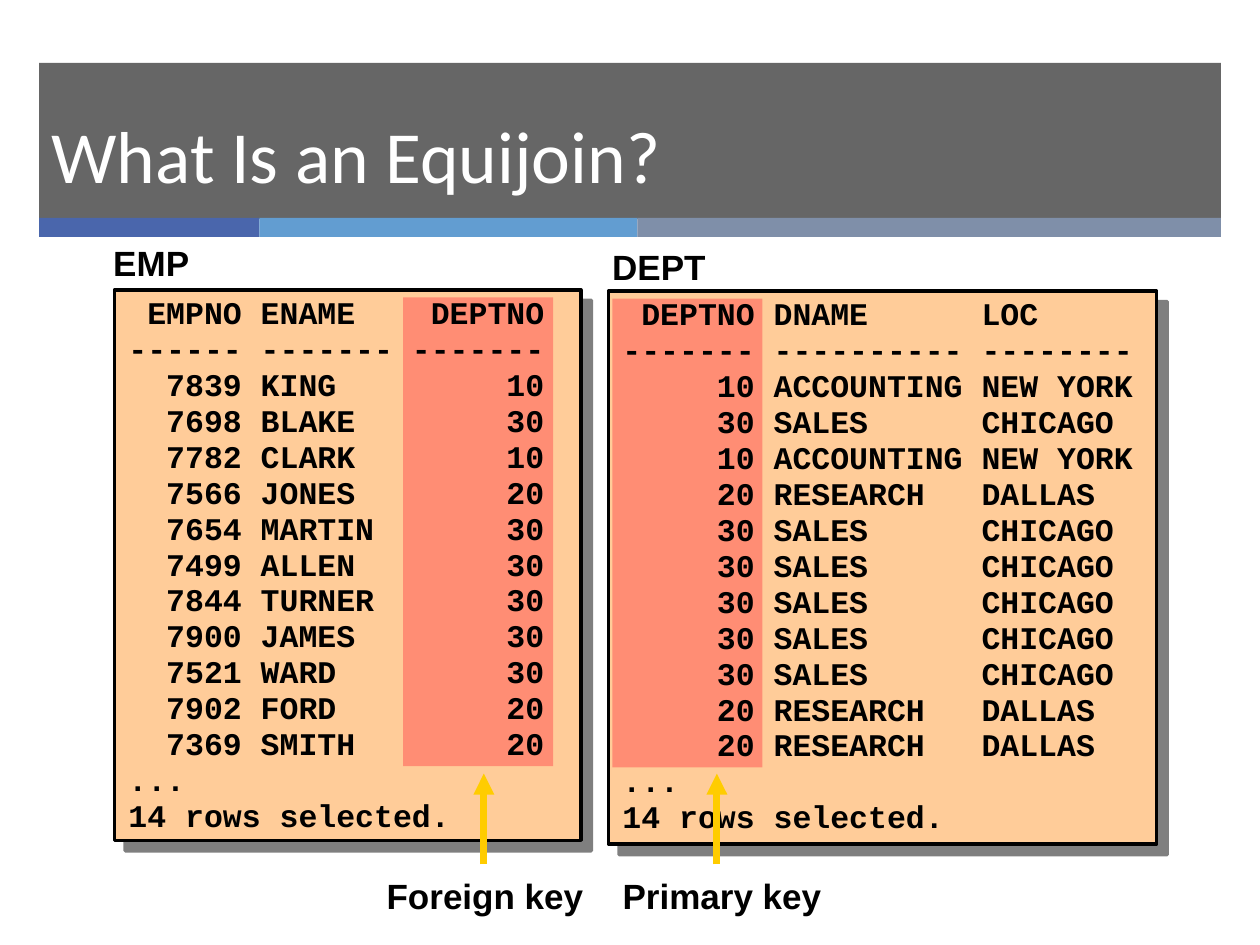
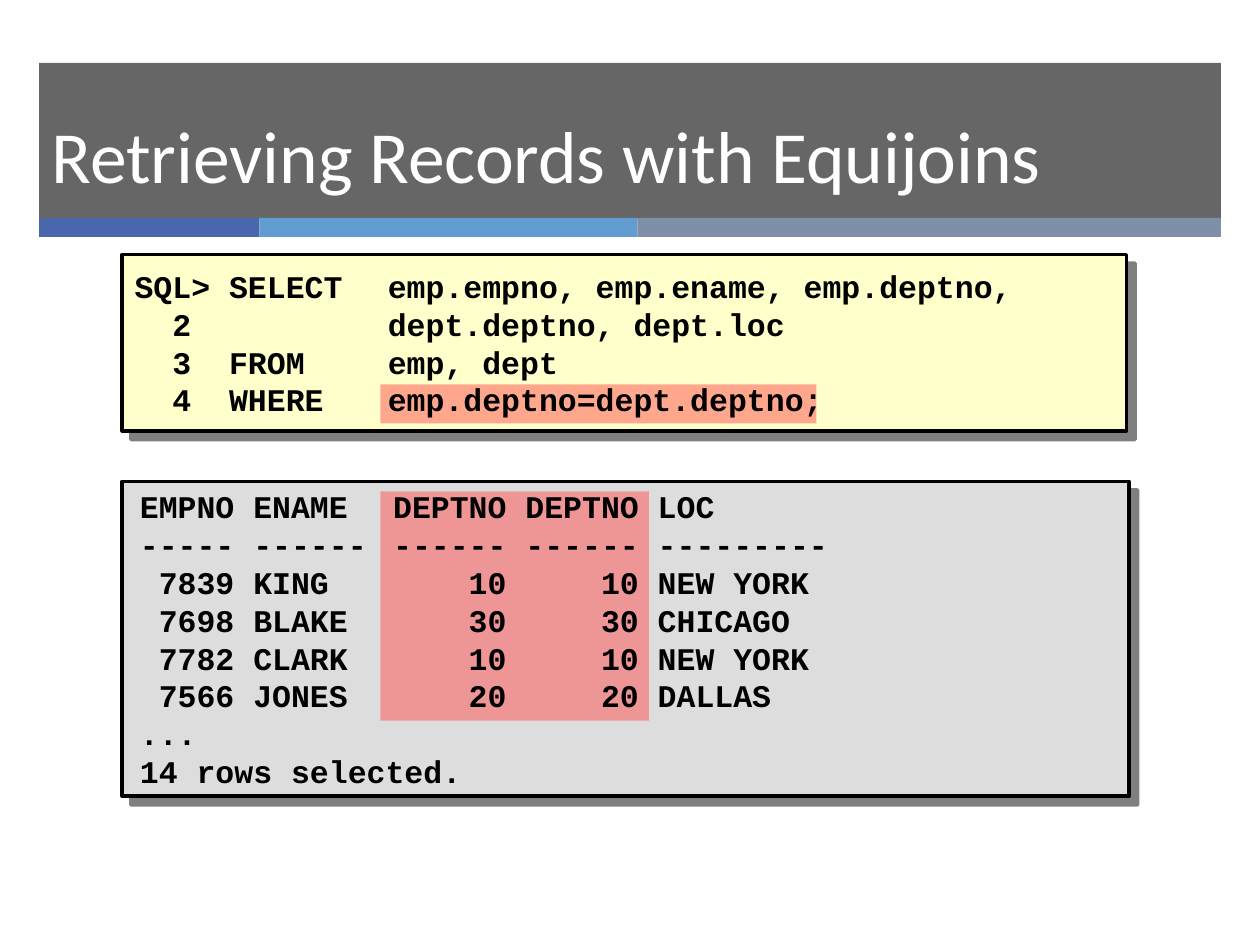
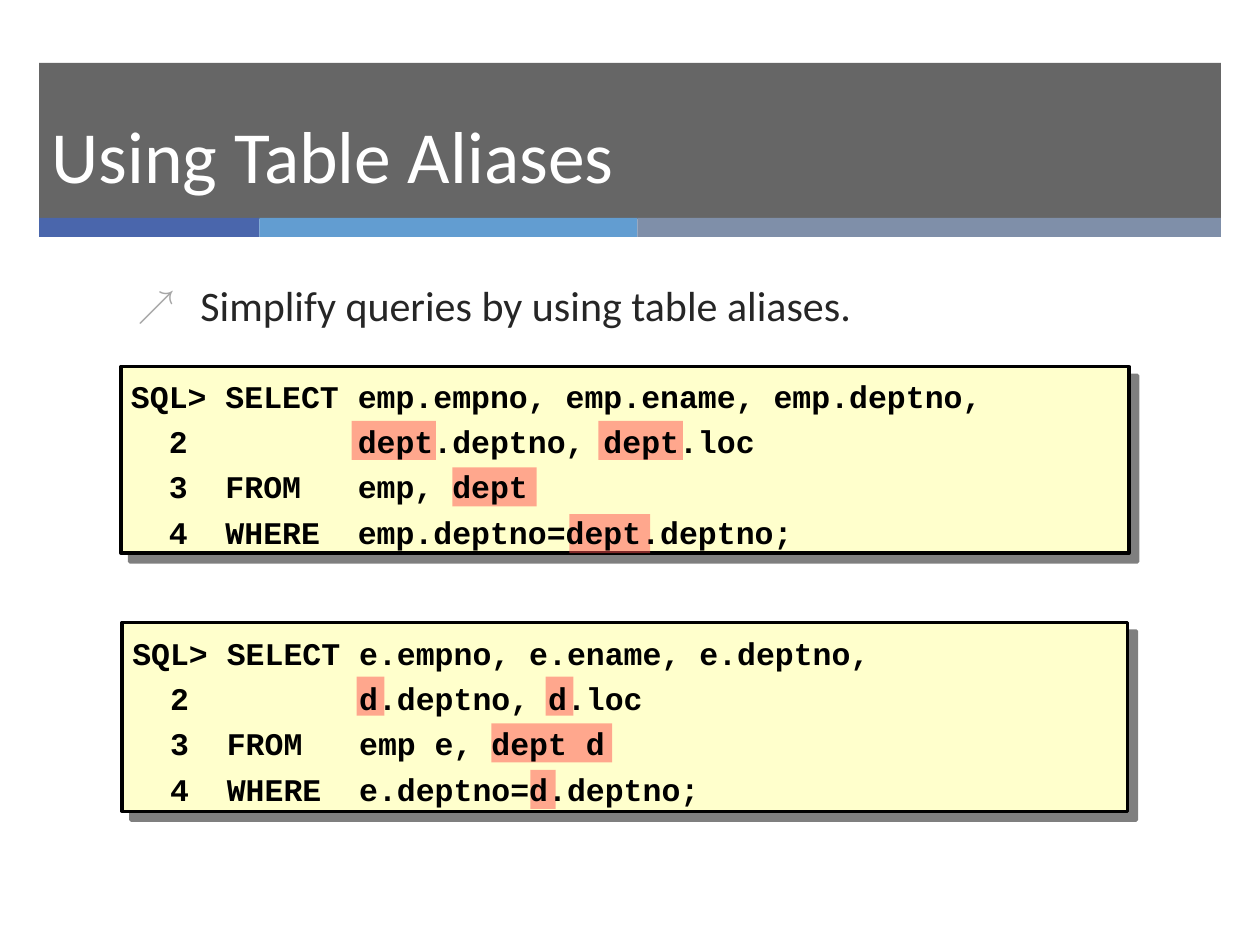
from dataclasses import dataclass

from lxml.etree import SubElement
from pptx import Presentation
from pptx.dml.color import RGBColor
from pptx.enum.shapes import MSO_CONNECTOR, MSO_SHAPE
from pptx.enum.text import MSO_ANCHOR, MSO_AUTO_SIZE, PP_ALIGN
from pptx.oxml.ns import qn
from pptx.util import Inches, Pt


@dataclass(frozen=True)
class Theme:
    band: str = "262626"
    stripes: tuple = (("4A66AC", 1.75), ("629DD1", 3), ("7F8FA9", 4.63))
    title_text: str = "FFFFFF"
    body_text: str = "262626"
    bullet: str = "A6A6A6"
    ink: str = "000000"
    table_fill: str = "FFCC99"
    query_fill: str = "FFFFCC"
    result_fill: str = "DDDDDD"
    highlight: str = "FF5050"
    arrow: str = "FFCC00"
    heading_font: str = "Calibri"
    label_font: str = "Arial"
    code_font: str = "Courier New"
    title_size: int = 42
    body_size: int = 24
    label_size: int = 20
    code_size: int = 18


THEME = Theme()
CHAR = 0.15  # inches taken by one code character
TITLE_LAYOUT, BODY_LAYOUT = 5, 1

# Tab stops of each listing: (character column, alignment)
EMP_STOPS = ((6, "r"), (7, "l"), (22, "r"))
DEPT_STOPS = ((7, "r"), (8, "l"), (19, "l"))
RESULT_STOPS = ((5, "r"), (6, "l"), (19.4, "r"), (26.4, "r"), (27.4, "l"))
WIDE_QUERY_STOPS = ((3, "r"), (5, "l"), (13.4, "l"))
QUERY_STOPS = ((3, "r"), (5, "l"), (12, "l"))

FOOT_LINES = ["...", "14 rows selected."]
EMP_ROWS = """EMPNO ENAME DEPTNO
------ ------- -------
7839 KING 10
7698 BLAKE 30
7782 CLARK 10
7566 JONES 20
7654 MARTIN 30
7499 ALLEN 30
7844 TURNER 30
7900 JAMES 30
7521 WARD 30
7902 FORD 20
7369 SMITH 20"""
DEPT_ROWS = """DEPTNO DNAME LOC
------- ---------- --------
10 ACCOUNTING NEW YORK
30 SALES CHICAGO
10 ACCOUNTING NEW YORK
20 RESEARCH DALLAS
30 SALES CHICAGO
30 SALES CHICAGO
30 SALES CHICAGO
30 SALES CHICAGO
30 SALES CHICAGO
20 RESEARCH DALLAS
20 RESEARCH DALLAS"""
RESULT_ROWS = """EMPNO ENAME DEPTNO DEPTNO LOC
----- ------ ------ ------ ---------
7839 KING 10 10 NEW YORK
7698 BLAKE 30 30 CHICAGO
7782 CLARK 10 10 NEW YORK
7566 JONES 20 20 DALLAS"""


def table_lines(rows, stops):
    """Put a tab before each cell; the last cell may hold a space."""
    cells = (row.split(" ", len(stops) - 1) for row in rows.splitlines())
    return ["\t" + "\t".join(row) for row in cells] + FOOT_LINES


def query_lines(select, more, tables, condition):
    return [f"SQL>\tSELECT\t{select}", f"\t2\t\t{more}",
            f"\t3\tFROM\t{tables}", f"\t4\tWHERE\t{condition}"]


def color(value):
    return RGBColor.from_string(value)


def style(paragraph, font_name, size, ink, bold=False):
    font = paragraph.font
    font.name, font.size, font.bold = font_name, Pt(size), bold
    font.color.rgb = color(ink)


def place(shape, box):
    shape.left, shape.top, shape.width, shape.height = map(Inches, box)


def add_rect(slide, box, fill, opacity=100):
    rect = slide.shapes.add_shape(MSO_SHAPE.RECTANGLE, *map(Inches, box))
    rect.shadow.inherit = False
    rect.fill.solid()
    rect.fill.fore_color.rgb = color(fill)
    rect.line.fill.background()
    if opacity < 100:
        tint = rect.fill._xPr.find(".//" + qn("a:srgbClr"))
        SubElement(tint, qn("a:alpha"), val=str(opacity * 1000))
    return rect


def add_master_bands(master, slide):
    """Draw the title band and its stripes, then move them behind the master."""
    bands = [add_rect(slide, (0.31, 0.5, 9.38, 1.24), THEME.band, 70)]
    left = 0.31
    for fill, width in THEME.stripes:
        bands.append(add_rect(slide, (left, 1.73, width, 0.15), fill))
        left += width
    for i, band in enumerate(bands):
        band.element.nvSpPr.cNvPr.set("id", str(100 + i))
        master.shapes.element.insert(2 + i, band.element)


def add_titled_slide(prs, layout, text):
    slide = prs.slides.add_slide(prs.slide_layouts[layout])
    title = slide.shapes.title
    place(title, (0.31, 0.69, 9.38, 1.06))
    title.text = text
    title.text_frame.vertical_anchor = MSO_ANCHOR.MIDDLE
    title.text_frame.auto_size = MSO_AUTO_SIZE.NONE
    paragraph = title.text_frame.paragraphs[0]
    paragraph.alignment = PP_ALIGN.LEFT
    style(paragraph, THEME.heading_font, THEME.title_size, THEME.title_text)
    return slide


def add_panel(slide, box, fill, shadow):
    panel = add_rect(slide, box, fill)
    panel.line.color.rgb = color(THEME.ink)
    panel.line.width = Pt(2)
    effects = panel.element.spPr.find(qn("a:effectLst"))
    outer = SubElement(effects, qn("a:outerShdw"), blurRad="0", dist=str(Pt(shadow)),
                       dir="2700000", algn="ctr", rotWithShape="0")
    tint = SubElement(outer, qn("a:srgbClr"), val=THEME.ink)
    SubElement(tint, qn("a:alpha"), val="50000")


def add_tab_stops(paragraph, stops):
    tabs = SubElement(paragraph._p.get_or_add_pPr(), qn("a:tabLst"))
    for column, align in stops:
        SubElement(tabs, qn("a:tab"), pos=str(Inches(column * CHAR)), algn=align)


def add_code_panel(slide, box, fill, lines, stops, marks, spacing=1.0,
                   inset=0.1, anchor=MSO_ANCHOR.TOP, shadow=7.1):
    """Framed code; marks are highlight boxes relative to the panel."""
    left, top, width, height = box
    add_panel(slide, box, fill, shadow)
    for dx, dy, mark_width, mark_height in marks:
        add_rect(slide, (left + dx, top + dy, mark_width, mark_height),
                 THEME.highlight, 50)
    code = slide.shapes.add_textbox(*map(Inches, box)).text_frame
    code.word_wrap = True
    code.margin_left = Inches(inset)
    code.vertical_anchor = anchor
    code.text = "\n".join(lines)
    for paragraph in code.paragraphs:
        paragraph.line_spacing = spacing
        style(paragraph, THEME.code_font, THEME.code_size, THEME.ink, True)
        add_tab_stops(paragraph, stops)


def add_label(slide, box, text, align=PP_ALIGN.LEFT, spacing=1.0):
    frame = slide.shapes.add_textbox(*map(Inches, box)).text_frame
    frame.word_wrap = False
    frame.text = text
    paragraph = frame.paragraphs[0]
    paragraph.alignment, paragraph.line_spacing = align, spacing
    style(paragraph, THEME.label_font, THEME.label_size, THEME.ink, True)


def add_key_note(slide, box, text, arrow_x):
    """Centred label with an arrow rising from its top edge."""
    add_label(slide, box, text, PP_ALIGN.CENTER, 1.1)
    x, top = Inches(box[0] + arrow_x), box[1]
    arrow = slide.shapes.add_connector(
        MSO_CONNECTOR.STRAIGHT, x, Inches(top), x, Inches(top - 0.72))
    arrow.line.color.rgb = color(THEME.arrow)
    arrow.line.width = Pt(4)
    SubElement(arrow.line._ln, qn("a:tailEnd"), type="triangle")
    SubElement(arrow._element.spPr, qn("a:effectLst"))


def add_bullet(slide, box, text):
    body = slide.placeholders[1]
    place(body, box)
    body.text_frame.text = text
    body.text_frame.auto_size = MSO_AUTO_SIZE.NONE
    paragraph = body.text_frame.paragraphs[0]
    paragraph.space_before = Pt(20)
    style(paragraph, THEME.heading_font, THEME.body_size, THEME.body_text)
    props = paragraph._p.get_or_add_pPr()
    props.set("marL", str(Inches(0.5)))
    props.set("indent", str(-Inches(0.5)))
    bullet_color = SubElement(props, qn("a:buClr"))
    SubElement(bullet_color, qn("a:srgbClr"), val=THEME.bullet)
    SubElement(props, qn("a:buSzPct"), val="90000")
    SubElement(props, qn("a:buChar"), char="↗")
    # The run defaults must follow the bullet settings
    props.append(props.find(qn("a:defRPr")))


def fix_property_order(slide):
    """Keep run defaults last in every paragraph's properties."""
    for defaults in list(slide.element.iter(qn("a:defRPr"))):
        defaults.getparent().append(defaults)


def build_equijoin(prs):
    slide = add_titled_slide(prs, TITLE_LAYOUT, "What Is an Equijoin?")
    add_master_bands(prs.slide_master, slide)
    add_label(slide, (0.8, 1.87, 0.88, 0.43), "EMP")
    add_label(slide, (4.76, 1.9, 1.02, 0.43), "DEPT")
    tables = (((0.91, 2.3, 3.7, 4.37), EMP_ROWS, EMP_STOPS, 2.29),
              ((4.83, 2.31, 4.35, 4.39), DEPT_ROWS, DEPT_STOPS, 0.03))
    for box, rows, stops, key_x in tables:
        add_code_panel(slide, box, THEME.table_fill, table_lines(rows, stops), stops,
                       [(key_x, 0.06, 1.19, 3.72)], spacing=0.95, inset=0.11,
                       shadow=8.5)
    add_key_note(slide, (2.97, 6.86, 1.76, 0.47), "Foreign key", 0.87)
    add_key_note(slide, (4.84, 6.86, 1.78, 0.47), "Primary key", 0.85)
    return slide


def build_retrieval(prs):
    slide = add_titled_slide(prs, TITLE_LAYOUT, "Retrieving Records with Equijoins")
    query = query_lines("emp.empno, emp.ename, emp.deptno,", "dept.deptno, dept.loc",
                        "emp, dept", "emp.deptno=dept.deptno;")
    add_code_panel(slide, (0.97, 2.02, 7.97, 1.4), THEME.query_fill, query,
                   WIDE_QUERY_STOPS, [(2.05, 1.03, 3.46, 0.31)],
                   anchor=MSO_ANCHOR.MIDDLE)
    add_code_panel(slide, (0.97, 3.82, 7.99, 2.5), THEME.result_fill,
                   table_lines(RESULT_ROWS, RESULT_STOPS), RESULT_STOPS,
                   [(2.05, 0.08, 2.13, 1.82)], inset=0.14)
    return slide


def build_aliases(prs):
    slide = add_titled_slide(prs, BODY_LAYOUT, "Using Table Aliases")
    add_bullet(slide, (0.99, 2.17, 8.08, 0.54),
               "Simplify queries by using table aliases.")
    full = query_lines("emp.empno, emp.ename, emp.deptno,", "dept.deptno, dept.loc",
                       "emp, dept", "emp.deptno=dept.deptno;")
    short = query_lines("e.empno, e.ename, e.deptno,", "d.deptno, d.loc",
                        "emp e, dept d", "e.deptno=d.deptno;")
    # Marks: (query line, left, width)
    full_marks = ((1, 1.83, 0.67), (1, 3.79, 0.67), (2, 2.63, 0.67), (3, 3.56, 0.64))
    short_marks = ((1, 1.86, 0.22), (1, 3.36, 0.22), (2, 2.93, 0.96), (3, 3.24, 0.2))
    queries = (((0.96, 2.91, 8, 1.48), full, full_marks),
               ((0.97, 4.94, 7.98, 1.5), short, short_marks))
    for box, lines, marks in queries:
        boxes = [(x, 0.06 + 0.37 * line, width, 0.31) for line, x, width in marks]
        add_code_panel(slide, box, THEME.query_fill, lines, QUERY_STOPS, boxes,
                       spacing=1.2, inset=0.08, anchor=MSO_ANCHOR.MIDDLE)
    return slide


def main():
    prs = Presentation()
    prs.slide_width, prs.slide_height = Inches(10), Inches(7.5)
    for build in (build_equijoin, build_retrieval, build_aliases):
        fix_property_order(build(prs))
    prs.save("out.pptx")


if __name__ == "__main__":
    main()
